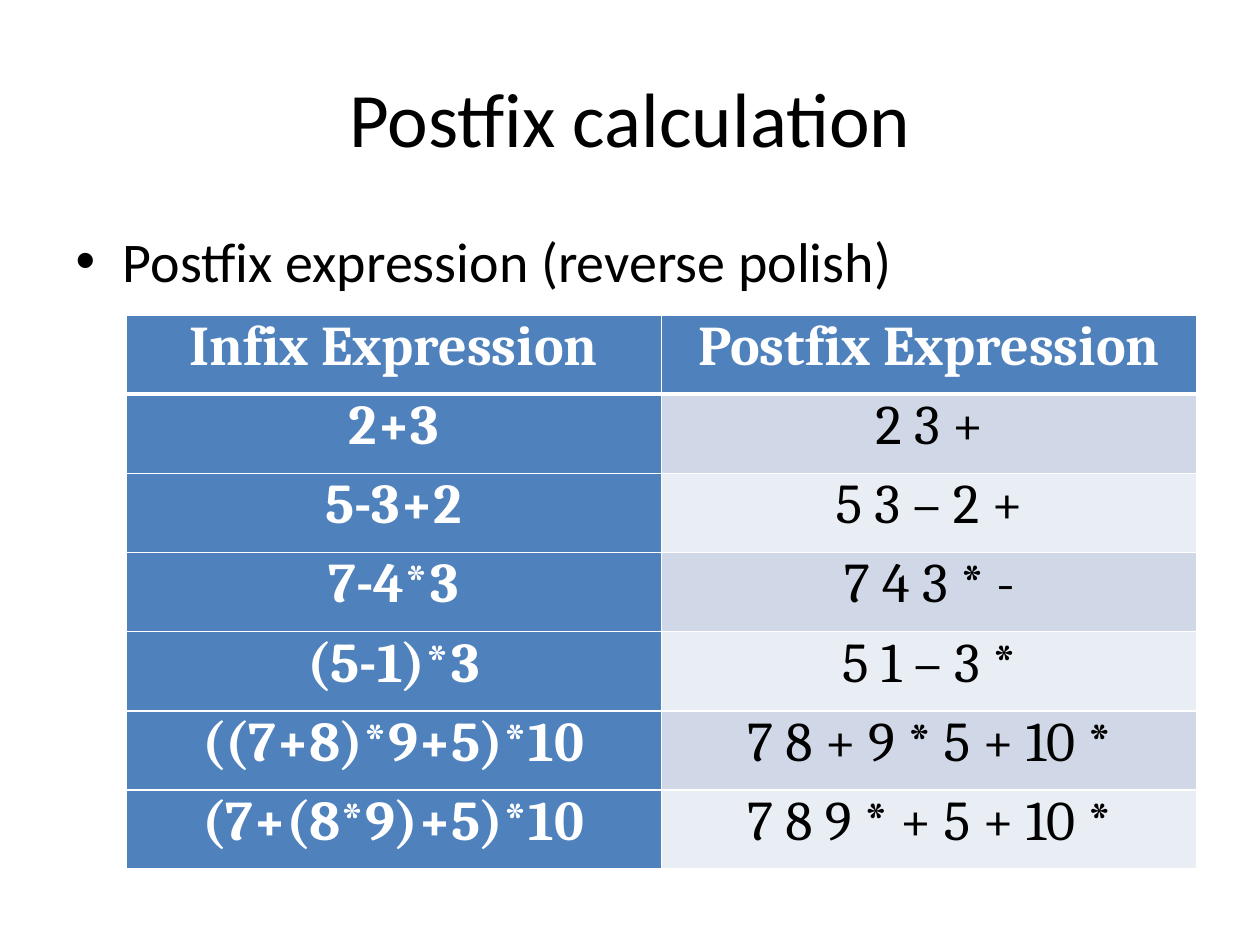
from dataclasses import dataclass

from lxml import etree
from pptx import Presentation
from pptx import util as u
from pptx.dml.color import RGBColor
from pptx.enum import text
from pptx.oxml.ns import qn


@dataclass(frozen=True)
class Theme:
    heading_font: str = "Calibri"
    table_font: str = "Cambria"
    title_size: int = 44
    body_size: int = 32
    ink: str = "000000"
    white: str = "FFFFFF"
    accent: str = "4F81BD"
    bands: tuple = ("D0D8E8", "E9EDF4")


class Deck:
    def __init__(self, prs, theme):
        self.theme = theme
        self.s = prs.slides.add_slide(prs.slide_layouts[1])

    def style(self, p, font, size, color, bold=False):
        p.font.name = font
        p.font.size = u.Pt(size)
        p.font.bold = bold
        p.font.color.rgb = RGBColor.from_string(color)

    def place(self, sp, box):
        sp.left, sp.top, sp.width, sp.height = map(u.Inches, box)

    def title(self, words, box):
        sp = self.s.shapes.title
        self.place(sp, box)
        tf = sp.text_frame
        tf.text = words
        tf.vertical_anchor = text.MSO_ANCHOR.MIDDLE
        p = tf.paragraphs[0]
        p.alignment = text.PP_ALIGN.CENTER
        self.style(p, self.theme.heading_font, self.theme.title_size, self.theme.ink)

    def bullets(self, items, box):
        sp = self.s.placeholders[1]
        self.place(sp, box)
        tf = sp.text_frame
        tf.text = "\n".join(items)
        for p in tf.paragraphs:
            self.style(p, self.theme.heading_font, self.theme.body_size, self.theme.ink)

    def borders(self, cell, top, bottom):
        tcPr = cell._tc.get_or_add_tcPr()
        for side, width in (("L", 1), ("R", 1), ("T", top), ("B", bottom)):
            ln = etree.SubElement(tcPr, qn("a:ln" + side), w=str(u.Pt(width)))
            fill = etree.SubElement(ln, qn("a:solidFill"))
            etree.SubElement(fill, qn("a:srgbClr"), val=self.theme.white)

    def cell(self, cell, words, row, strong):
        t = self.theme
        cell.margin_left = cell.margin_right = u.Inches(0.07)
        cell.margin_top = cell.margin_bottom = 0
        # The header is set off by a heavier rule
        self.borders(cell, 3 if row == 1 else 1, 3 if row == 0 else 1)
        cell.fill.solid()
        fill = t.accent if strong else t.bands[(row - 1) % 2]
        cell.fill.fore_color.rgb = RGBColor.from_string(fill)
        cell.text = words
        p = cell.text_frame.paragraphs[0]
        p.alignment = text.PP_ALIGN.CENTER
        self.style(p, t.table_font, t.body_size, t.white if strong else t.ink, strong)

    def table(self, rows, box):
        frame = self.s.shapes.add_table(len(rows), len(rows[0]), *map(u.Inches, box))
        for i, row in enumerate(rows):
            for j, words in enumerate(row):
                self.cell(frame.table.cell(i, j), words, i, i == 0 or j == 0)


prs = Presentation()
prs.slide_width, prs.slide_height = u.Inches(10), u.Inches(7.5)
deck = Deck(prs, Theme())

# Heading and lead-in
deck.title("Postfix calculation", (0.5, 0.3, 9, 1.25))
deck.bullets(["Postfix expression (reverse polish)"], (0.5, 1.75, 9, 4.95))

# Expressions in both notations
deck.table([
    ("Infix Expression", "Postfix Expression"),
    ("2+3", "2 3 +"),
    ("5-3+2", "5 3 – 2 +"),
    ("7-4*3", "7 4 3 * -"),
    ("(5-1)*3", "5 1 – 3 *"),
    ("((7+8)*9+5)*10", "7 8 + 9 * 5 + 10 *"),
    ("(7+(8*9)+5)*10", "7 8 9 * + 5 + 10 *"),
], (1, 2.5, 8.5, 4.4))

prs.save("out.pptx")
